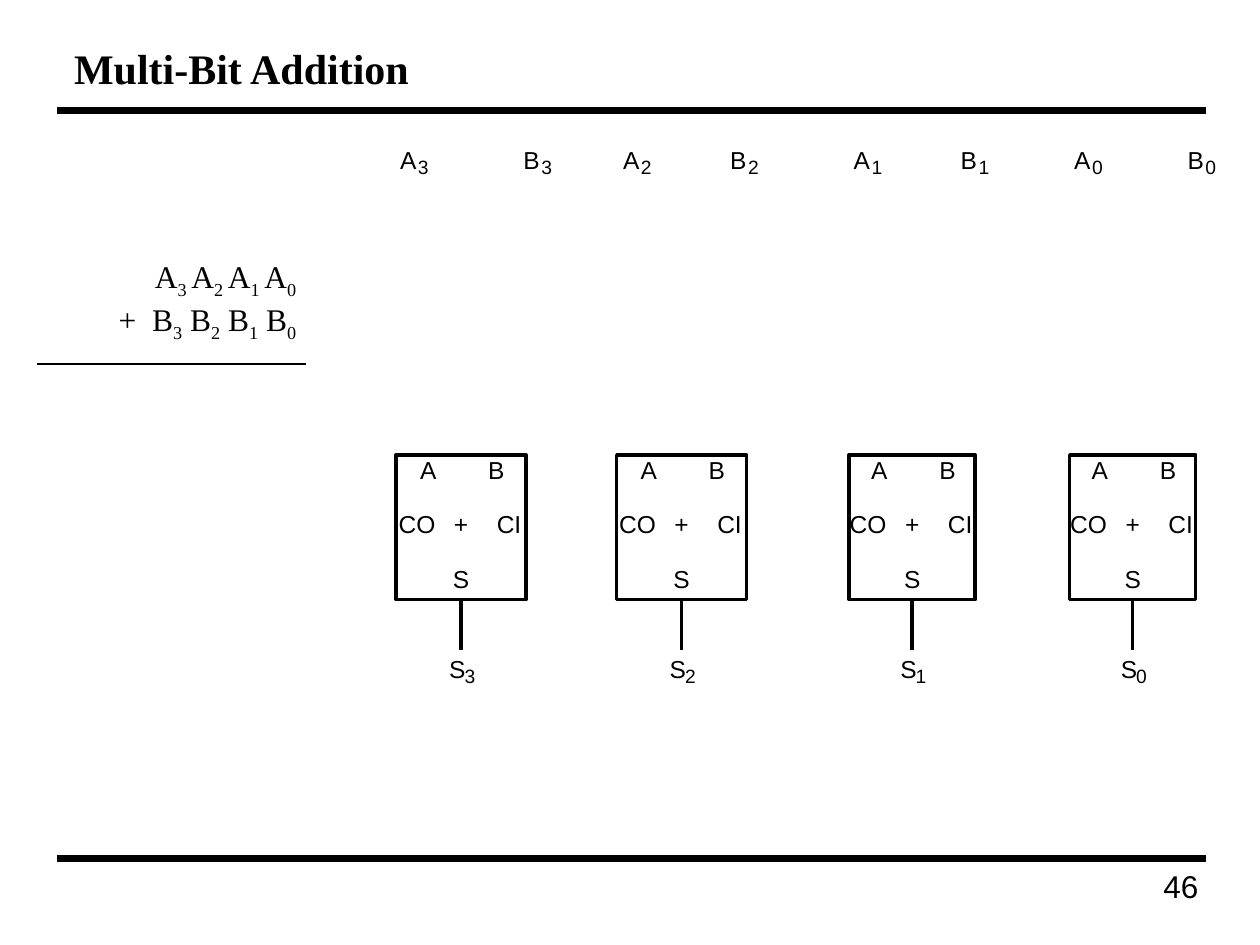
from dataclasses import dataclass

from pptx import Presentation
from pptx.dml.color import RGBColor
from pptx.enum.shapes import MSO_CONNECTOR, MSO_SHAPE
from pptx.enum.text import MSO_ANCHOR, MSO_AUTO_SIZE, PP_ALIGN
from pptx.oxml.ns import qn
from pptx.util import Inches, Pt
from lxml.etree import SubElement


@dataclass(frozen=True)
class Theme:
    """Colours, fonts, type sizes and line widths of the slide."""
    ink: RGBColor = RGBColor(0, 0, 0)
    serif: str = "Times New Roman"
    sans: str = "Arial"
    title: int = 24
    body: int = 18
    label: int = 14
    index: int = 11
    rule: int = 4
    wire: int = 2
    hairline: int = 1


@dataclass(frozen=True)
class Stage:
    """One adder: bit index, box centre and width, centres of its two inputs."""
    bit: int
    center: float
    width: float
    input_a: float
    input_b: float


THEME = Theme()
COLUMNS, ROWS = 100, 75
CELL = Inches(10) / COLUMNS
BOX_TOP, BOX_HEIGHT = 36.1, 11.5
LABEL_HEIGHT, INDEX_HEIGHT, INDEX_DROP = 5.6, 4.7, 0.8
INPUT_TOP, SUM_TOP, STEM_END = 11, 51.4, 51.6
STAGES = (
    Stage(3, 36.6, 10.3, 32.4, 42.2),
    Stage(2, 54.1, 10.3, 50.1, 58.6),
    Stage(1, 72.4, 10, 68.4, 76.9),
    Stage(0, 89.9, 10, 85.9, 94.9),
)
PORTS = (
    ("A", -2.6, 35.6, 3.4),
    ("B", 2.8, 35.6, 3.4),
    ("CO", -3.5, 39.9, 5.2),
    ("S", 0, 44.3, 3.4),
    ("+", 0, 39.9, 3.4),
    ("CI", 3.8, 39.9, 4.4),
)


def cells(*counts):
    """Turn grid cell counts into slide lengths."""
    return [round(count * CELL) for count in counts]


def style_run(run, size, font, bold=False):
    """Apply size, typeface and ink to a run."""
    run.font.size = Pt(size)
    run.font.name = font
    run.font.bold = bold
    run.font.color.rgb = THEME.ink


def add_text(slide, box, text, size, font, align, wrap=False, bold=False):
    """Add a one-paragraph text box and return its frame."""
    text_frame = slide.shapes.add_textbox(*cells(*box)).text_frame
    text_frame.word_wrap = wrap
    text_frame.auto_size = MSO_AUTO_SIZE.NONE if wrap else MSO_AUTO_SIZE.SHAPE_TO_FIT_TEXT
    text_frame.text = text
    paragraph = text_frame.paragraphs[0]
    paragraph.alignment = align
    for run in paragraph.runs:
        style_run(run, size, font, bold)
    return text_frame


def add_label(slide, text, center, top, width=3.4, height=LABEL_HEIGHT, size=THEME.label):
    """Add a short label centred on a column."""
    box = (center - width / 2, top, width, height)
    add_text(slide, box, text, size, THEME.sans, PP_ALIGN.CENTER)


def add_signal(slide, letter, bit, center, top, index_shift):
    """Add a signal name with its lowered bit index."""
    add_label(slide, letter, center, top)
    add_label(slide, str(bit), center + index_shift, top + INDEX_DROP,
              3, INDEX_HEIGHT, THEME.index)


def add_line(slide, start, end, width):
    """Add a straight line between two grid points."""
    line = slide.shapes.add_connector(MSO_CONNECTOR.STRAIGHT, *cells(*start, *end))
    line.line.color.rgb = THEME.ink
    line.line.width = Pt(width)
    SubElement(line._element.spPr, qn("a:effectLst"))
    return line


def add_adder(slide, stage):
    """Add an adder box with its port labels and output stem."""
    box = slide.shapes.add_shape(MSO_SHAPE.RECTANGLE, *cells(
        stage.center - stage.width / 2, BOX_TOP, stage.width, BOX_HEIGHT))
    box.shadow.inherit = False
    box.fill.background()
    box.line.color.rgb = THEME.ink
    box.line.width = Pt(THEME.wire)
    for name, shift, top, width in PORTS:
        add_label(slide, name, stage.center + shift, top, width)
    bottom = BOX_TOP + BOX_HEIGHT
    stem = add_line(slide, (stage.center, bottom), (stage.center, STEM_END), THEME.wire)
    stem.begin_connect(box, 2)


def add_operand(paragraph, letter, prefix="", gap_before="", gap_after=""):
    """Write the four bits of an operand with subscript indices."""
    paragraph.alignment = PP_ALIGN.RIGHT
    for position, stage in enumerate(STAGES):
        lead = gap_before if position else prefix
        trail = gap_after if stage.bit else ""
        for text, baseline in ((lead + letter, 0), (f"{stage.bit}{trail}", -25000)):
            run = paragraph.add_run()
            run.text = text
            style_run(run, THEME.body, THEME.serif)
            if baseline:
                run.font._element.set("baseline", str(baseline))


def add_sum(slide):
    """Add the written addition and the line beneath it."""
    text_frame = add_text(slide, (3.1, 19.9, 21.4, 9), "", THEME.body,
                          THEME.serif, PP_ALIGN.RIGHT)
    add_operand(text_frame.paragraphs[0], "A", gap_after=" ")
    add_operand(text_frame.add_paragraph(), "B", prefix="+  ", gap_before=" ")
    add_line(slide, (24.3, 28.9), (2.9, 28.9), THEME.hairline)


def main():
    """Build the slide and save it."""
    presentation = Presentation()
    presentation.slide_width, presentation.slide_height = cells(COLUMNS, ROWS)
    slide = presentation.slides.add_slide(presentation.slide_layouts[6])
    for row in (8.8, 68.1):
        add_line(slide, (4.5, row), (95.7, row), THEME.rule)
    title = add_text(slide, (4.9, 2.5, 90.4, 5.8), "Multi-Bit Addition", THEME.title,
                     THEME.serif, PP_ALIGN.LEFT, wrap=True, bold=True)
    title.vertical_anchor = MSO_ANCHOR.MIDDLE
    for stage in STAGES:
        add_adder(slide, stage)
        add_signal(slide, "A", stage.bit, stage.input_a, INPUT_TOP, 1.2)
        add_signal(slide, "B", stage.bit, stage.input_b, INPUT_TOP, 1.2)
        add_signal(slide, "S", stage.bit, stage.center - 0.3, SUM_TOP, 1)
    add_sum(slide)
    add_text(slide, (75.6, 68.3, 20.5, 4.9), "46", THEME.body, THEME.sans,
             PP_ALIGN.RIGHT, wrap=True)
    presentation.save("out.pptx")


if __name__ == "__main__":
    main()
